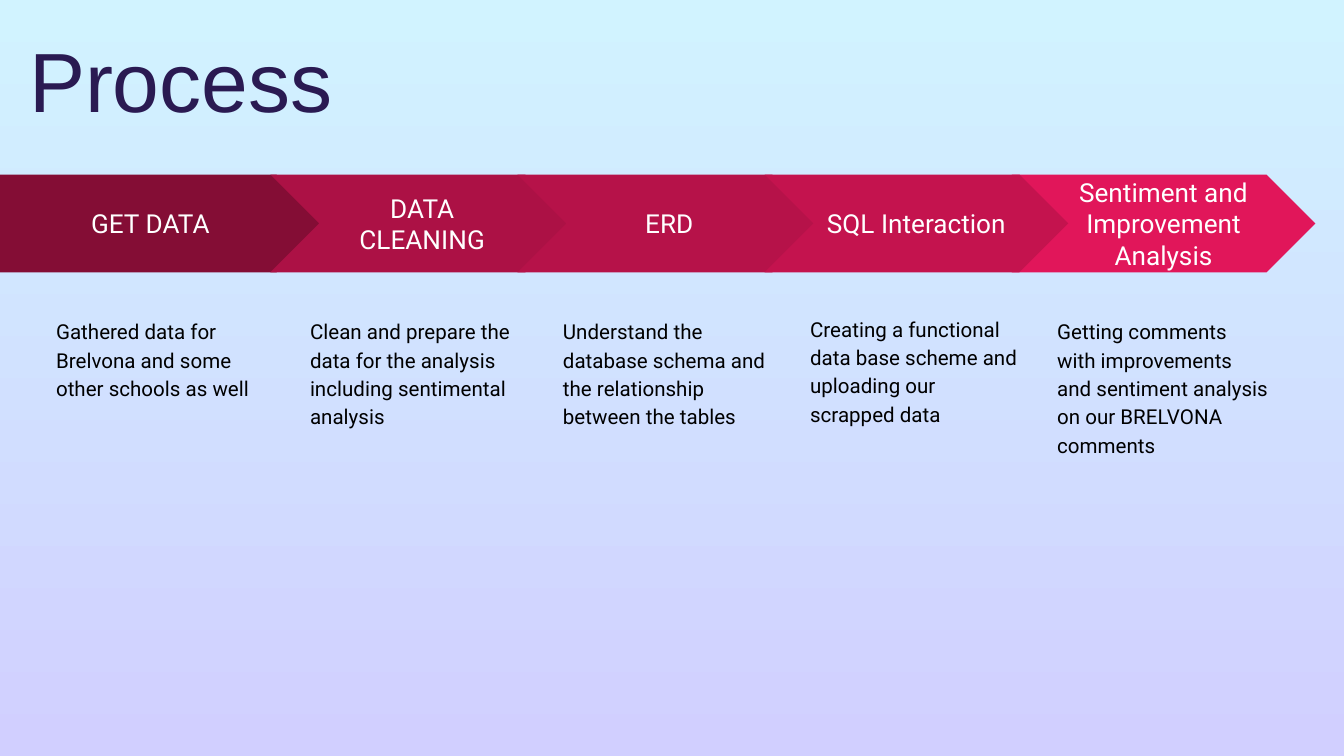
from dataclasses import dataclass

from pptx import Presentation
from pptx.dml.color import RGBColor as RGB
from pptx.enum.shapes import MSO_SHAPE as SHAPE
from pptx.enum.text import MSO_ANCHOR as ANCHOR, PP_ALIGN as ALIGN
from pptx.util import Cm, Pt


@dataclass(frozen=True)
class Theme:
    """Colours, fonts and type sizes of the slide."""
    bg: tuple = ("D1F3FF", "D1CFFF")
    title: str = "2A1A52"
    label: str = "FFFFFF"
    body: str = "000000"
    title_font: str = "Arial"
    font: str = "Roboto"
    title_size: int = 45
    label_size: int = 14
    body_size: int = 11


T = Theme()
FIRST_W, CHEVRON_W, BAR_H = 6.15, 5.74, 1.85
CHEVRON_X, PITCH = 5.11, 4.67
BAR_Y = 3.3
NOTE_Y, NOTE_W, NOTE_H = 2.42, 4.52, 6.53  # NOTE_Y is measured from the bar top

# column, fill, label, note, note offset (x, y); the fourth arrow overlaps the fifth
STEPS = [
    (0, "840D35", "GET DATA",
     "Gathered data for Brelvona and some other schools as well", (0.81, 0)),
    (1, "AC1145", "DATA CLEANING",
     "Clean and prepare the data for the analysis including sentimental analysis",
     (0.5, 0)),
    (2, "B61249", "ERD",
     "Understand the database schema and the relationship between the tables",
     (0.61, 0)),
    (4, "E1165A", "Sentiment and Improvement Analysis",
     "Getting comments with improvements and sentiment analysis on our "
     "BRELVONA comments", (0.61, 0)),
    (3, "C4134E", "SQL Interaction",
     "Creating a functional data base scheme and uploading our scrapped data",
     (0.61, -0.05)),
]


def set_text(sp, text, size, color, font=T.font, anchor=ANCHOR.TOP,
             align=ALIGN.LEFT, spacing=1.0):
    """Fill a shape with one styled paragraph."""
    tf = sp.text_frame
    tf.word_wrap = True
    tf.vertical_anchor = anchor
    tf.margin_left = tf.margin_right = tf.margin_top = tf.margin_bottom = Cm(0.25)
    p = tf.paragraphs[0]
    p.text = text
    p.alignment = align
    p.line_spacing = spacing
    p.font.name = font
    p.font.size = Pt(size)
    p.font.color.rgb = RGB.from_string(color)


def set_background(s):
    """Paint the vertical gradient behind the slide."""
    fill = s.background.fill
    fill.gradient()
    fill.gradient_angle = 270
    for stop, color in zip(fill.gradient_stops, T.bg):
        stop.color.rgb = RGB.from_string(color)


def add_title(s, x, y, w, h):
    """Place the heading in the given box."""
    sp = s.shapes.add_textbox(Cm(x), Cm(y), Cm(w), Cm(h))
    set_text(sp, "Process", T.title_size, T.title, T.title_font,
             ANCHOR.BOTTOM, spacing=0.9)


def add_step(s, x, y, w, kind, color, label, note, offset):
    """Place one arrow and its note, grouped, from the arrow's top left."""
    shapes = s.shapes.add_group_shape().shapes
    sp = shapes.add_shape(kind, Cm(x), Cm(y), Cm(w), Cm(BAR_H))
    sp.shadow.inherit = False
    sp.adjustments[0] = 0.5
    sp.fill.solid()
    sp.fill.fore_color.rgb = RGB.from_string(color)
    sp.line.fill.background()
    set_text(sp, label, T.label_size, T.label,
             anchor=ANCHOR.MIDDLE, align=ALIGN.CENTER)

    dx, dy = offset
    note_box = shapes.add_textbox(Cm(x + dx), Cm(y + NOTE_Y + dy),
                                  Cm(NOTE_W), Cm(NOTE_H))
    set_text(note_box, note, T.body_size, T.body, spacing=1.15)


def add_process(s, x, y):
    """Place the row of steps from its top left corner."""
    for col, *details in STEPS:
        if col == 0:
            add_step(s, x, y, FIRST_W, SHAPE.PENTAGON, *details)
        else:
            left = x + CHEVRON_X + (col - 1) * PITCH
            add_step(s, left, y, CHEVRON_W, SHAPE.CHEVRON, *details)


def main():
    """Build and save the slide."""
    prs = Presentation()
    prs.slide_width, prs.slide_height = Cm(25.4), Cm(14.29)
    s = prs.slides.add_slide(prs.slide_layouts[6])
    set_background(s)
    add_title(s, 0.3, 0.28, 16.13, 2.44)
    add_process(s, 0, BAR_Y)
    prs.save("out.pptx")


main()
